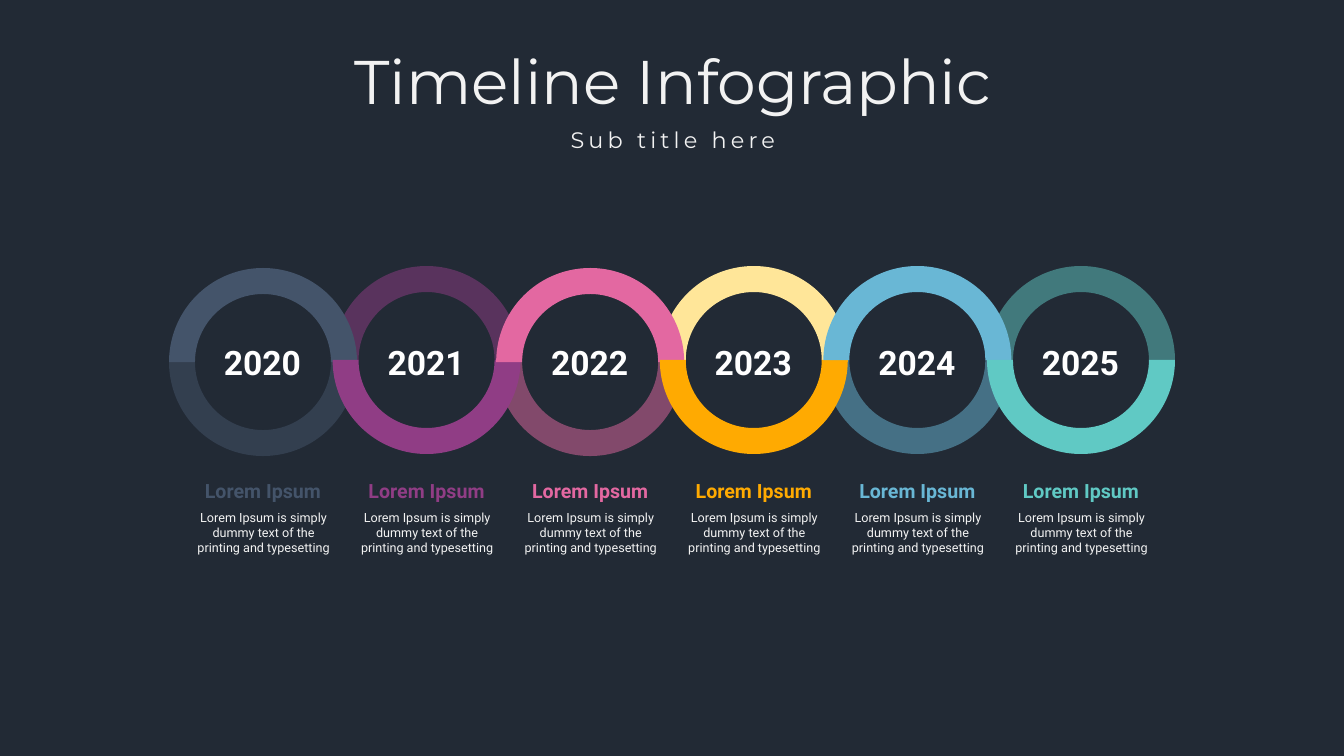
from lxml.etree import SubElement
from pptx import Presentation
from pptx.dml.color import RGBColor
from pptx.enum.shapes import MSO_SHAPE as Preset
from pptx.enum.text import MSO_ANCHOR as Anchor
from pptx.enum.text import MSO_AUTO_SIZE as AutoSize
from pptx.enum.text import PP_ALIGN as Align
from pptx.oxml.ns import qn
from pptx.util import Pt

PX = 914400 / 100.8
WIDTH, HEIGHT = 1344, 756
RING = 188
BAND = 26
DEGREE = 60000
BACKDROP, PALE, WHITE = "222A35", "F2F2F2", "FFFFFF"
BLURB = "Lorem Ipsum is simply dummy text of the printing and typesetting"

MILESTONES = [
    ("2020", "44546A", "44546A", 50, 2),
    ("2021", "903D85", "903D85", 50, 0),
    ("2022", "E368A1", "E368A1", 50, 2),
    ("2023", "FFAA01", "FFE699", 100, 0),
    ("2024", "69B7D5", "69B7D5", 50, 0),
    ("2025", "60C9C4", "60C9C4", 50, 0),
]


def emu(px):
    return round(px * PX)


def paint(shape, color, opacity=100):
    shape.shadow.inherit = False
    shape.line.fill.background()
    shape.fill.solid()
    shape.fill.fore_color.rgb = RGBColor.from_string(color)
    if opacity < 100:
        tint = shape.fill._xPr.find(qn("a:solidFill"))[0]
        SubElement(tint, qn("a:alpha"), val=str(opacity * 1000))


def write(slide, text, box, *, size, color, font="Roboto", bold=False,
          align=Align.CENTER, wrap=True, grow=True, anchor=Anchor.TOP,
          leading=None, tracking=0):
    frame = slide.shapes.add_textbox(*map(emu, box)).text_frame
    frame.word_wrap = wrap
    frame.auto_size = AutoSize.SHAPE_TO_FIT_TEXT if grow else AutoSize.NONE
    frame.vertical_anchor = anchor
    paragraph = frame.paragraphs[0]
    paragraph.alignment = align
    if leading:
        paragraph.line_spacing = leading
    run = paragraph.add_run()
    run.text = text
    run.font.name = font
    run.font.size = Pt(size)
    run.font.bold = bold
    run.font.color.rgb = RGBColor.from_string(color)
    if tracking:
        run.font._element.set("spc", str(tracking * 100))


def round_off(segment, reach, start, sweep):
    arc = segment.makeelement(qn("a:arcTo"), {
        "wR": str(emu(reach)), "hR": str(emu(reach)),
        "stAng": str(start * DEGREE), "swAng": str(sweep * DEGREE)})
    segment.getparent().replace(segment, arc)


def half_ring(slide, left, top, upper, color, opacity=100):
    outer = RING / 2
    inner = outer - BAND
    side = -1 if upper else 1
    corners = [(-outer, 0), (0, outer), (outer, 0),
               (inner, 0), (0, inner), (-inner, 0)]
    outline = [(emu(left + outer + x), emu(top + outer + side * y))
               for x, y in corners]
    builder = slide.shapes.build_freeform(*outline[0], scale=1.0)
    builder.add_line_segments(outline[1:], close=True)
    half = builder.convert_to_shape()
    segments = list(half._element.iter(qn("a:lnTo")))
    turn, crest = -90 * side, 180 - 90 * side
    crest %= 360
    crest = 270 if upper else 90
    round_off(segments[0], outer, 180, turn)
    round_off(segments[1], outer, crest, turn)
    round_off(segments[3], inner, 0, -turn)
    round_off(segments[4], inner, crest, -turn)
    paint(half, color, opacity)


def backdrop(slide, box):
    paint(slide.shapes.add_shape(Preset.RECTANGLE, *map(emu, box)), BACKDROP)


def heading(slide, box):
    left, top, width, _ = box
    style = dict(font="Montserrat", color=PALE, grow=False,
                 anchor=Anchor.MIDDLE, leading=0.9)
    write(slide, "Timeline Infographic", (left, top, width, 78), size=44, **style)
    write(slide, "Sub title here", (left + 251, top + 78, width - 502, 35),
          size=16, tracking=3, **style)


def captions(slide, left, top, color):
    write(slide, "Lorem Ipsum", (left + 25, top, 138, 34),
          size=14, color=color, bold=True, wrap=False)
    write(slide, BLURB, (left + 12, top + 31, 165, 56), size=9, color=PALE)


def timeline(slide, box):
    left, top, width, _ = box
    pitch = (width - RING) / (len(MILESTONES) - 1)
    stops = [(left + index * pitch, index % 2 == 0, *milestone)
             for index, milestone in enumerate(MILESTONES)]
    for x, upper, _, _, back, opacity, drop in reversed(stops):
        half_ring(slide, x, top + drop, not upper, back, opacity)
    for x, upper, _, front, _, _, drop in stops:
        half_ring(slide, x, top + drop, upper, front)
    for x, _, _, front, *_ in stops:
        captions(slide, x, top + 208, front)
    for x, _, year, *_ in stops:
        write(slide, year, (x + 45, top + 71, 98, 50), size=24, color=WHITE,
              bold=True, align=Align.LEFT, wrap=False)


def main():
    deck = Presentation()
    deck.slide_width, deck.slide_height = emu(WIDTH), emu(HEIGHT)
    slide = deck.slides.add_slide(deck.slide_layouts[6])
    backdrop(slide, (0, 0, WIDTH, HEIGHT))
    heading(slide, (70, 46, 1206, 113))
    timeline(slide, (169, 266, 1006, 295))
    deck.save("out.pptx")


if __name__ == "__main__":
    main()
